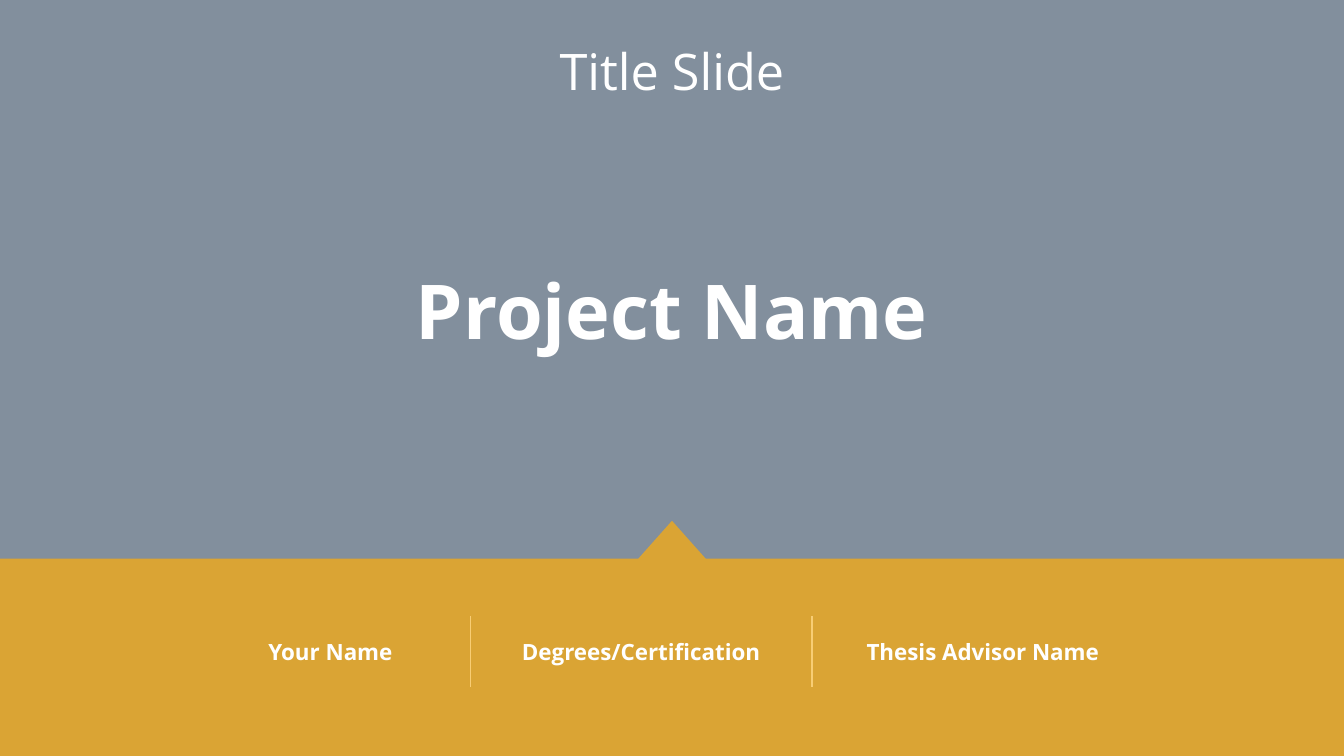
from dataclasses import dataclass

from lxml import etree
from pptx import Presentation
from pptx.dml.color import RGBColor
from pptx.enum.shapes import MSO_CONNECTOR, MSO_SHAPE
from pptx.enum.text import MSO_ANCHOR, PP_ALIGN
from pptx.oxml.ns import qn
from pptx.util import Pt

WIDTH, HEIGHT = 960, 540


@dataclass(frozen=True)
class Theme:
    slate: str = "57687B"
    gold: str = "F4AB17"
    pale_gold: str = "F8CD74"
    white: str = "FFFFFF"
    font: str = "Open Sans"
    project_size: int = 54
    title_size: int = 36
    label_size: int = 16


THEME = Theme()


def fill_shape(shape, color, opacity):
    """Give a shape a borderless fill; opacity is in percent."""
    shape.shadow.inherit = False
    shape.line.fill.background()
    shape.fill.solid()
    shape.fill.fore_color.rgb = RGBColor.from_string(color)
    color_node = shape.element.spPr.find(qn("a:solidFill"))[0]
    etree.SubElement(color_node, qn("a:alpha"), val=str(opacity * 1000))


def place(shape, left, top, width, height):
    shape.left, shape.top = Pt(left), Pt(top)
    shape.width, shape.height = Pt(width), Pt(height)


def write(shape, text, size, bold=False):
    """Set one centred white line of text."""
    shape.text_frame.word_wrap = True
    para = shape.text_frame.paragraphs[0]
    para.text = text
    para.alignment = PP_ALIGN.CENTER
    para.font.name = THEME.font
    para.font.size = Pt(size)
    para.font.bold = bold
    para.font.color.rgb = RGBColor.from_string(THEME.white)


def add_text(page, text, size, left, top, width, height):
    box = page.shapes.add_textbox(Pt(left), Pt(top), Pt(width), Pt(height))
    write(box, text, size, bold=True)


def add_divider(page, x, top, height):
    line = page.shapes.add_connector(
        MSO_CONNECTOR.STRAIGHT, Pt(x), Pt(top), Pt(x), Pt(top + height))
    line.line.color.rgb = RGBColor.from_string(THEME.pale_gold)
    line.line.width = Pt(0.75)
    etree.SubElement(line.element.spPr, qn("a:effectLst"))


def add_backdrop(page, left, top, width, height):
    backdrop = page.shapes.add_shape(
        MSO_SHAPE.RECTANGLE, Pt(left), Pt(top), Pt(width), Pt(height))
    fill_shape(backdrop, THEME.slate, 74)


def add_heading(page, left, top, width, height):
    """Place the slide title in front of the backdrop, with the project name below."""
    title = page.shapes.title
    title.element.getparent().append(title.element)
    place(title, left + 48, top + 22, width - 96, 56)
    title.text_frame.vertical_anchor = MSO_ANCHOR.MIDDLE
    write(title, "Title Slide", THEME.title_size)
    add_text(page, "Project Name", THEME.project_size,
             left + 174, top + 185, width - 348, 73)


def add_credits_band(page, left, top, width, height):
    """Draw the pointed band and its three columns of credits."""
    middle, right, bottom = left + width / 2, left + width, top + height
    half_point, point_height = 24, 27
    outline = [
        (middle + half_point, top), (right, top), (right, bottom),
        (left, bottom), (left, top), (middle - half_point, top),
    ]
    builder = page.shapes.build_freeform(Pt(middle), Pt(top - point_height))
    builder.add_line_segments([(Pt(x), Pt(y)) for x, y in outline])
    fill_shape(builder.convert_to_shape(), THEME.gold, 78)

    columns = [("Your Name", 200), ("Degrees/Certification", 244),
               ("Thesis Advisor Name", 244)]
    inset = 22
    x = left + 136
    for index, (label, column_width) in enumerate(columns):
        if index:
            add_divider(page, x, top + 41, 51)
        add_text(page, label, THEME.label_size,
                 x + inset, top + 53, column_width - 2 * inset, 27)
        x += column_width


def build_title_slide(deck):
    page = deck.slides.add_slide(deck.slide_layouts[5])
    band_top = 399
    add_backdrop(page, 0, 0, WIDTH, HEIGHT)
    add_heading(page, 0, 0, WIDTH, band_top)
    add_credits_band(page, 0, band_top, WIDTH, HEIGHT - band_top)


def main():
    deck = Presentation()
    deck.slide_width, deck.slide_height = Pt(WIDTH), Pt(HEIGHT)
    build_title_slide(deck)
    deck.save("out.pptx")


if __name__ == "__main__":
    main()
